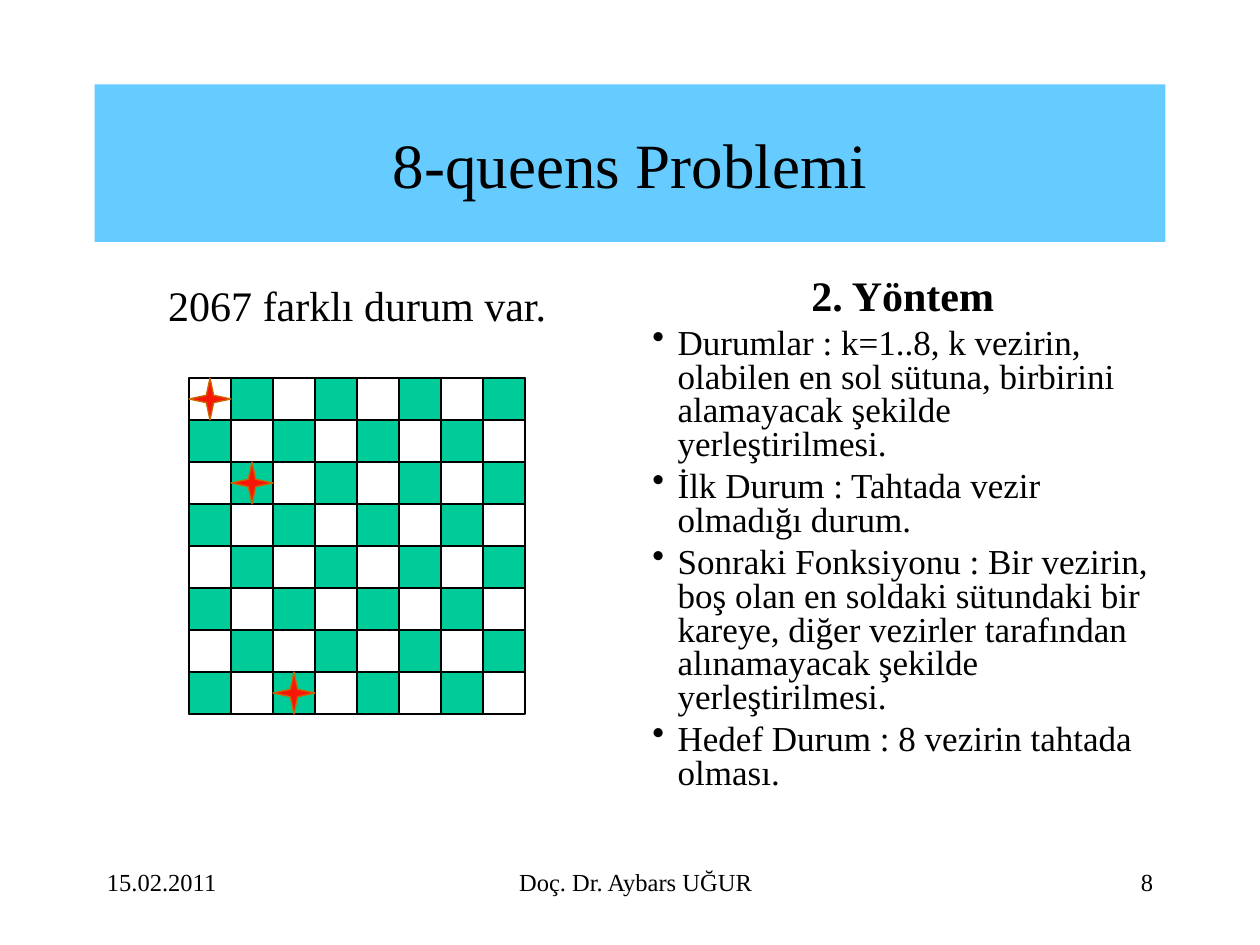
"""Build the slide about the second formulation of the 8-queens problem."""
from lxml import etree
from pptx import Presentation
from pptx.dml.color import RGBColor
from pptx.enum.shapes import MSO_SHAPE
from pptx.enum.text import MSO_ANCHOR, MSO_AUTO_SIZE, PP_ALIGN
from pptx.oxml.ns import qn
from pptx.util import Inches, Pt

LEFT, CENTER, RIGHT = PP_ALIGN.LEFT, PP_ALIGN.CENTER, PP_ALIGN.RIGHT
MIDDLE = MSO_ANCHOR.MIDDLE
NO_AUTOFIT = MSO_AUTO_SIZE.NONE
RECTANGLE, STAR = MSO_SHAPE.RECTANGLE, MSO_SHAPE.STAR_4_POINT

BLACK = RGBColor(0x00, 0x00, 0x00)
SKY = RGBColor(0x66, 0xCC, 0xFF)
GREEN = RGBColor(0x00, 0xCC, 0x99)
RED = RGBColor(0xF8, 0x17, 0x06)
BROWN = RGBColor(0xCC, 0x66, 0x00)

FONT = "Times New Roman"
TITLE_ONLY = 5
BOARD_LEFT, BOARD_TOP, BOARD_SIZE = 1.5, 3, 8 / 3
SQUARES = 8
SQUARE = BOARD_SIZE / SQUARES
QUEENS = [(0, 0), (2, 1), (7, 2)]
STATEMENTS = [
    "Durumlar : k=1..8, k vezirin, olabilen en sol sütuna, birbirini alamayacak şekilde yerleştirilmesi.",
    "İlk Durum : Tahtada vezir olmadığı durum.",
    "Sonraki Fonksiyonu : Bir vezirin, boş olan en soldaki sütundaki bir kareye, "
    "diğer vezirler tarafından alınamayacak şekilde yerleştirilmesi.",
    "Hedef Durum : 8 vezirin tahtada olması.",
]


def add_bullet(para, indent):
    """Give a paragraph a hanging round bullet."""
    properties = para._p.get_or_add_pPr()
    properties.set("marL", str(Inches(indent)))
    properties.set("indent", str(Inches(-indent)))
    color = etree.SubElement(properties, qn("a:buClr"))
    etree.SubElement(color, qn("a:srgbClr")).set("val", str(BLACK))
    etree.SubElement(properties, qn("a:buChar")).set("char", "•")


def write(para, text, size=14, align=LEFT, bold=False, bullet=False, spacing=None, before=None):
    """Write formatted text into a paragraph."""
    if bullet:
        add_bullet(para, 0.2)
    para.alignment = align
    if spacing is not None:
        para.line_spacing = spacing
    if before is not None:
        para.space_before = Pt(before)
    span = para.add_run()
    span.text = text
    span.font.name = FONT
    span.font.size = Pt(size)
    span.font.bold = bold
    span.font.color.rgb = BLACK


def add_box(page, left, top, width, height):
    """Add a wrapping text box and return its text frame."""
    box = page.shapes.add_textbox(Inches(left), Inches(top), Inches(width), Inches(height))
    box.text_frame.word_wrap = True
    return box.text_frame


def add_title(page, text):
    """Place the title on its coloured band."""
    title = page.shapes.title
    title.left, title.top = Inches(0.75), Inches(0.67)
    title.width, title.height = Inches(8.5), Inches(1.25)
    title.fill.solid()
    title.fill.fore_color.rgb = SKY
    frame = title.text_frame
    frame.auto_size = NO_AUTOFIT
    frame.vertical_anchor = MIDDLE
    write(frame.paragraphs[0], text, size=36, align=CENTER)


def add_piece(group, kind, row, column, size=SQUARE, fill=None, line=BLACK):
    """Add a shape to the board at a row and column."""
    piece = group.shapes.add_shape(
        kind,
        Inches(BOARD_LEFT + column * SQUARE),
        Inches(BOARD_TOP + row * SQUARE),
        Inches(size),
        Inches(size),
    )
    piece.shadow.inherit = False
    if fill is None:
        piece.fill.background()
    else:
        piece.fill.solid()
        piece.fill.fore_color.rgb = fill
    piece.line.color.rgb = line
    piece.line.width = Pt(0.75)
    return piece


def add_board(page):
    """Draw the chessboard with its queens."""
    board = page.shapes.add_group_shape()
    add_piece(board, RECTANGLE, 0, 0, size=BOARD_SIZE)
    for row in range(SQUARES):
        for column in range((row + 1) % 2, SQUARES, 2):
            add_piece(board, RECTANGLE, row, column, fill=GREEN)
    for row, column in QUEENS:
        queen = add_piece(board, STAR, row, column, fill=RED, line=BROWN)
        queen.adjustments[0] = 0.125


def add_method(page):
    """Write the heading and the bulleted problem statement."""
    frame = add_box(page, 5.08, 2.17, 4.17, 4.5)
    write(frame.paragraphs[0], "2. Yöntem", size=24, align=CENTER, bold=True, spacing=0.8)
    for statement in STATEMENTS:
        write(frame.add_paragraph(), statement, size=20, bullet=True, spacing=0.8, before=5)


def add_footer(page):
    """Write the date, the author and the page number."""
    for left, width, text, align in [
        (0.75, 1.58, "15.02.2011", LEFT),
        (2.42, 5.25, "Doç. Dr. Aybars UĞUR", CENTER),
        (7.75, 1.5, "8", RIGHT),
    ]:
        frame = add_box(page, left, 6.83, width, 0.5)
        write(frame.paragraphs[0], text, align=align)


def main():
    """Build and save the deck."""
    deck = Presentation()
    deck.slide_width, deck.slide_height = Inches(10), Inches(7.5)
    page = deck.slides.add_slide(deck.slide_layouts[TITLE_ONLY])
    add_title(page, "8-queens Problemi")
    count = add_box(page, 0.75, 2.17, 4.17, 0.6)
    write(count.paragraphs[0], "2067 farklı durum var.", size=24, align=CENTER)
    add_method(page)
    add_board(page)
    add_footer(page)
    deck.save("out.pptx")


if __name__ == "__main__":
    main()
